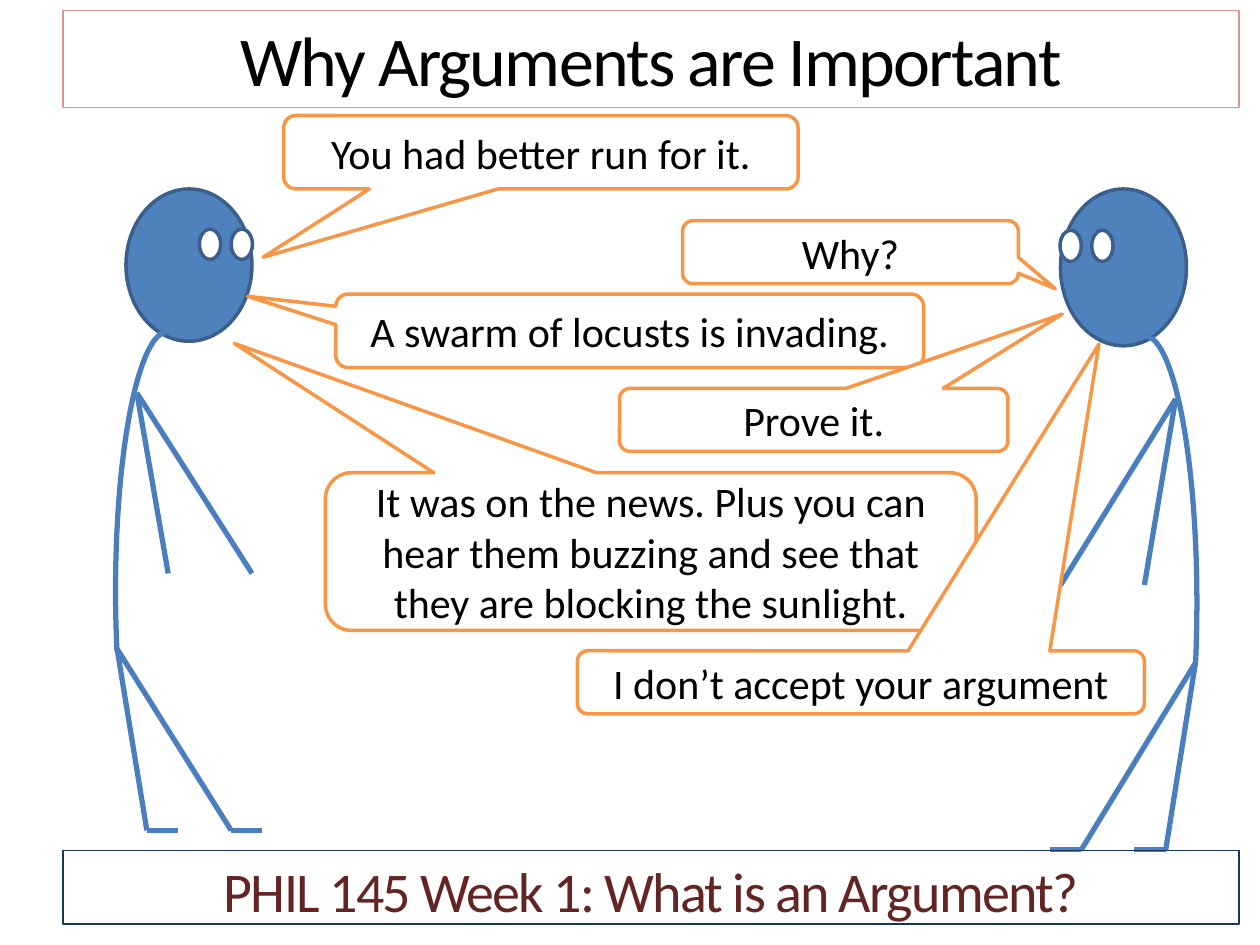
from lxml import etree
from pptx import Presentation
from pptx import util as u
from pptx.dml.color import RGBColor
from pptx.enum import shapes, text
from pptx.oxml import ns

BLUE = RGBColor(0x4F, 0x81, 0xBD)
DARK_BLUE = RGBColor(0x3A, 0x5F, 0x8C)
LIMB_BLUE = RGBColor(0x4B, 0x7E, 0xBC)
ORANGE = RGBColor(0xF7, 0x96, 0x46)
PINK = RGBColor(0xD9, 0x96, 0x94)
NAVY = RGBColor(0x17, 0x37, 0x5E)
MAROON = RGBColor(0x63, 0x25, 0x23)
BLACK = RGBColor(0, 0, 0)
WHITE = RGBColor(0xFF, 0xFF, 0xFF)


def add_outline(parent, kind, place, fill, line, width):
    shape = parent.add_shape(kind, *[u.Cm(length) for length in place])
    shape.shadow.inherit = False
    if fill is None:
        shape.fill.background()
    else:
        shape.fill.solid()
        shape.fill.fore_color.rgb = fill
    shape.line.color.rgb = line
    shape.line.width = u.Pt(width)
    return shape


def add_text(shape, words, size, color, anchor):
    frame = shape.text_frame
    frame.word_wrap = True
    frame.vertical_anchor = anchor
    para = frame.paragraphs[0]
    para.alignment = text.PP_ALIGN.CENTER
    span = para.add_run()
    span.text = words
    span.font.name = "Calibri"
    span.font.size = u.Pt(size)
    span.font.color.rgb = color
    return span


deck = Presentation()
deck.slide_width, deck.slide_height = u.Cm(25.4), u.Cm(19.05)
page = deck.slides.add_slide(deck.slide_layouts[6])

# Body plan of the left speaker, in cm
HEAD = (2.54, 3.81, 2.54, 3.07)
BACK = (2.33, 6.68, 2.12, 10.46)
EYES = [(4.02, 4.62, 0.43, 0.61), (4.66, 4.62, 0.43, 0.61)]
HIP, SHOULDER = (2.36, 13.08), (2.76, 7.92)
HEELS = [(2.96, 16.74), (4.66, 16.74)]
HANDS = [(3.39, 11.56), (5.08, 11.56)]
LIMBS = [(HIP, heel) for heel in HEELS]
LIMBS += [(SHOULDER, hand) for hand in HANDS]
LIMBS += [(heel, (heel[0] + 0.63, heel[1])) for heel in HEELS]
MIRROR_SUM = 26.46  # left x + mirrored x
HEAD_TOP = HEAD[1]

# The right speaker is the left one mirrored and slightly taller
for mirrored, stretch in [(False, 1), (True, 1.03)]:
    figure = page.shapes.add_group_shape().shapes
    ovals = shapes.MSO_SHAPE.OVAL
    parts = [(ovals, HEAD, BLUE, DARK_BLUE, 2),
             (shapes.MSO_SHAPE.ARC, BACK, None, LIMB_BLUE, 3)]
    parts += [(ovals, eye, WHITE, DARK_BLUE, 2) for eye in EYES]
    for kind, (x, y, width, height), fill, line, weight in parts:
        if mirrored:
            x = MIRROR_SUM - x - width
        y = HEAD_TOP + (y - HEAD_TOP) * stretch
        part = add_outline(figure, kind, (x, y, width, height * stretch),
                           fill, line, weight)
        if kind == shapes.MSO_SHAPE.ARC:
            part.adjustments[0], part.adjustments[1] = 162, 29.83
        if mirrored != (kind == shapes.MSO_SHAPE.ARC):
            part._element.spPr.find(ns.qn("a:xfrm")).set("flipH", "1")

    for limb in LIMBS:
        ends = []
        for x, y in limb:
            ends.append(u.Cm(MIRROR_SUM - x if mirrored else x))
            ends.append(u.Cm(HEAD_TOP + (y - HEAD_TOP) * stretch))
        line = figure.add_connector(shapes.MSO_CONNECTOR.STRAIGHT, *ends)
        line.line.color.rgb = LIMB_BLUE
        line.line.width = u.Pt(3)
        etree.SubElement(line._element.spPr, ns.qn("a:effectLst"))

# Speech balloons: words, place, tip of the tail relative to the centre
BALLOONS = [
    ("A swarm of locusts is invading.", (6.77, 5.93, 11.85, 1.48), (-0.65, -0.47)),
    ("Why?", (13.76, 4.45, 6.77, 1.27), (0.61, 0.58)),
    ("You had better run for it.", (5.72, 2.33, 10.37, 1.48), (-0.54, 1.43)),
    ("Prove it.", (12.49, 7.83, 7.83, 1.27), (0.64, -1.68)),
    ("It was on the news. Plus you can hear them buzzing and see that "
     "they are blocking the sunlight.", (6.56, 9.53, 13.12, 3.18), (-0.64, -1.32)),
    ("I don’t accept your argument", (11.64, 13.12, 11.43, 1.27), (0.42, -5.37)),
]
for words, place, tip in BALLOONS:
    balloon = add_outline(page.shapes, shapes.MSO_SHAPE.ROUNDED_RECTANGULAR_CALLOUT,
                          place, WHITE, ORANGE, 2)
    balloon.adjustments[0], balloon.adjustments[1] = tip
    add_text(balloon, words, 24, BLACK, text.MSO_ANCHOR.MIDDLE)

# Title and footer bars
BARS = [
    ("Why Arguments are Important", 0.21, 1.96, PINK, 40, BLACK),
    ("PHIL 145 Week 1: What is an Argument?", 17.15, 1.48, NAVY, 32, MAROON),
]
for words, top, height, line, size, color in BARS:
    bar = add_outline(page.shapes, shapes.MSO_SHAPE.RECTANGLE,
                      (1.27, top, 23.71, height), None, line, 0.75)
    span = add_text(bar, words, size, color, text.MSO_ANCHOR.TOP)
    span.font._element.set("spc", "-100")

deck.save("out.pptx")
